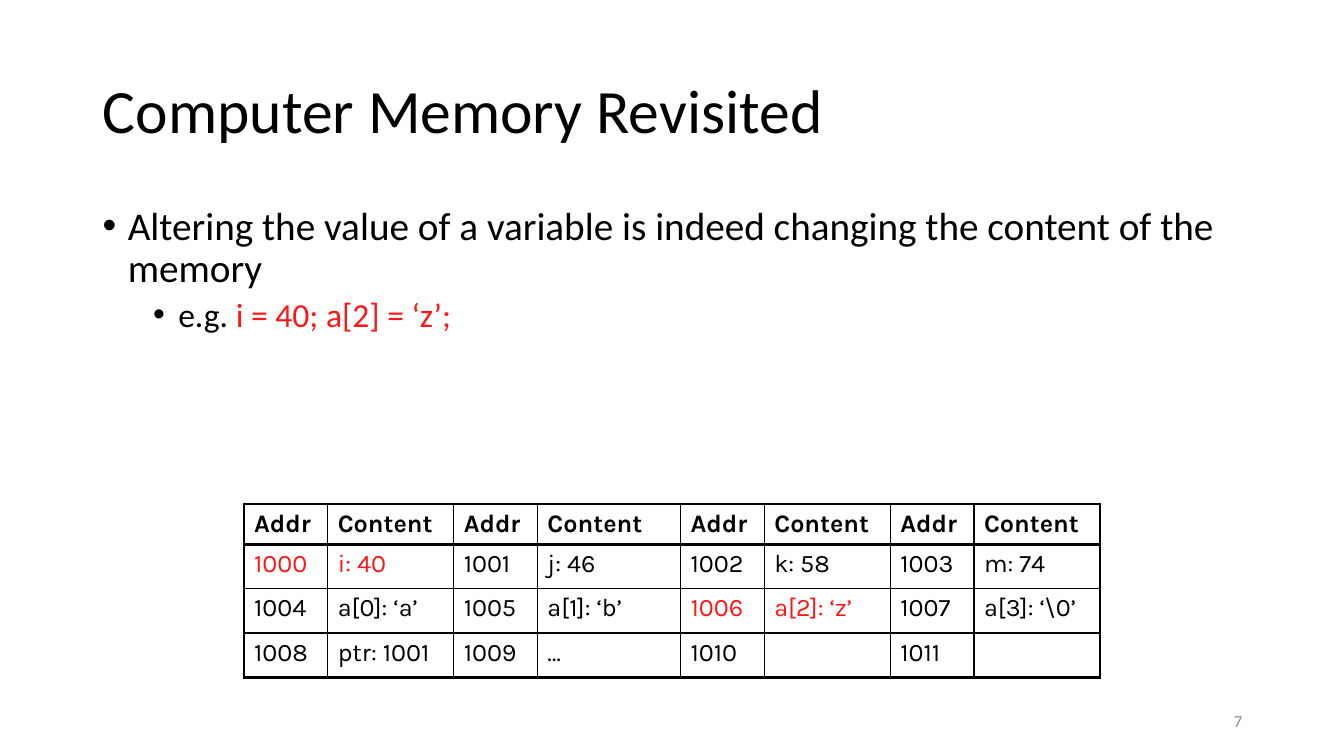
"""Build the slide on computer memory, with its table of addresses and contents."""
from lxml import etree
from pptx import Presentation
from pptx.dml.color import RGBColor
from pptx.enum.text import MSO_ANCHOR, MSO_AUTO_SIZE, PP_ALIGN
from pptx.oxml.ns import qn
from pptx.util import Inches, Pt

LEFT, RIGHT = PP_ALIGN.LEFT, PP_ALIGN.RIGHT
MIDDLE, TOP = MSO_ANCHOR.MIDDLE, MSO_ANCHOR.TOP
NO_FIT = MSO_AUTO_SIZE.NONE

BLACK, RED, GREY = "000000", "FF1717", "8C8C8C"
TITLE = "Computer Memory Revisited"
PAGE = "7"
POINTS = [
    {"runs": [("Altering the value of a variable is indeed changing the content of the memory", BLACK)],
     "size": 28, "indent": 0.25, "before": 0},
    {"runs": [("e.g. ", BLACK), ("i = 40; a[2] = ‘z’;", RED)],
     "size": 24, "indent": 0.75, "before": 5},
]
HEADINGS = ("Addr", "Content")
FIRST_ADDRESS = 1000
CONTENTS = [
    ["i: 40", "j: 46", "k: 58", "m: 74"],
    ["a[0]: ‘a’", "a[1]: ‘b’", "a[2]: ‘z’", "a[3]: ‘\\0’"],
    ["ptr: 1001", "…", "", ""],
]
CHANGED = {1000, 1006}
ADDRESS_WIDTH = 0.83
CONTENT_WIDTHS = [1.25, 1.42, 1.25, 1.25]
ROW_HEIGHTS = [0.4, 0.44, 0.44, 0.44]
THICK, THIN = 2.25, 1


def rgb(value):
    return RGBColor.from_string(value)


def style(run, size, color, font="Calibri", bold=False):
    run.font.name = font
    run.font.size = Pt(size)
    run.font.bold = bold
    run.font.color.rgb = rgb(color)


def place(shape, left, top, width, height):
    shape.left, shape.top = Inches(left), Inches(top)
    shape.width, shape.height = Inches(width), Inches(height)


def add_text(slide, left, top, width, height, anchor):
    box = slide.shapes.add_textbox(Inches(left), Inches(top), Inches(width), Inches(height))
    box.text_frame.word_wrap = True
    box.text_frame.vertical_anchor = anchor
    return box.text_frame


def add_bullet(paragraph, indent):
    properties = paragraph._p.get_or_add_pPr()
    properties.set("marL", str(Inches(indent)))
    properties.set("indent", str(Inches(-0.25)))
    etree.SubElement(properties, qn("a:buFont")).set("typeface", "Arial")
    etree.SubElement(properties, qn("a:buChar")).set("char", "•")


def add_borders(cell, widths):
    properties = cell._tc.get_or_add_tcPr()
    for side, width in widths.items():
        line = etree.SubElement(properties, qn(f"a:ln{side}"), w=str(Pt(width)))
        fill = etree.SubElement(line, qn("a:solidFill"))
        etree.SubElement(fill, qn("a:srgbClr"), val=BLACK)


def add_title(slide):
    title = slide.shapes.title
    place(title, 0.92, 0.4, 11.5, 1.45)
    frame = title.text_frame
    frame.text = TITLE
    frame.auto_size = NO_FIT
    frame.vertical_anchor = MIDDLE
    heading = frame.paragraphs[0]
    heading.alignment = LEFT
    heading.line_spacing = 0.9
    style(heading.runs[0], 44, BLACK)


def add_points(slide):
    frame = add_text(slide, 0.92, 2, 11.5, 2.5, TOP)
    for index, point in enumerate(POINTS):
        paragraph = frame.add_paragraph() if index else frame.paragraphs[0]
        paragraph.level = index
        paragraph.line_spacing = 0.9
        paragraph.space_before = Pt(point["before"])
        add_bullet(paragraph, point["indent"])
        for text, color in point["runs"]:
            run = paragraph.add_run()
            run.text = text
            style(run, point["size"], color)


def memory_rows():
    per_row = len(CONTENT_WIDTHS)
    rows = [[(heading, BLACK) for heading in HEADINGS * per_row]]
    for row, contents in enumerate(CONTENTS):
        cells = []
        for address, content in enumerate(contents, FIRST_ADDRESS + row * per_row):
            color = RED if address in CHANGED else BLACK
            cells += [(str(address), color), (content, color)]
        rows.append(cells)
    return rows


def add_memory(slide):
    rows = memory_rows()
    widths = [width for content in CONTENT_WIDTHS for width in (ADDRESS_WIDTH, content)]
    last_row, last_column = len(rows) - 1, len(widths) - 1
    memory = slide.shapes.add_table(
        len(rows), len(widths), Inches(2.42), Inches(5),
        Inches(sum(widths)), Inches(sum(ROW_HEIGHTS))).table
    memory.first_row = memory.horz_banding = False
    for column, width in zip(memory.columns, widths):
        column.width = Inches(width)
    for r, (cells, height) in enumerate(zip(rows, ROW_HEIGHTS)):
        memory.rows[r].height = Inches(height)
        for c, (text, color) in enumerate(cells):
            cell = memory.cell(r, c)
            add_borders(cell, {
                "L": THICK if c == 0 else THIN,
                "R": THICK if c == last_column else THIN,
                "T": THICK if r <= 1 else THIN,
                "B": THICK if r in (0, last_row) else THIN,
            })
            cell.fill.background()
            cell.text_frame.text = text
            for run in cell.text_frame.paragraphs[0].runs:
                style(run, 18, color, "Karla", bold=r == 0)


def add_page_number(slide):
    frame = add_text(slide, 9.42, 6.95, 3, 0.4, MIDDLE)
    frame.text = PAGE
    frame.paragraphs[0].alignment = RIGHT
    style(frame.paragraphs[0].runs[0], 12, GREY)


def main():
    deck = Presentation()
    deck.slide_width, deck.slide_height = Inches(13.33), Inches(7.5)
    slide = deck.slides.add_slide(deck.slide_layouts[5])
    add_title(slide)
    add_points(slide)
    add_page_number(slide)
    add_memory(slide)
    deck.save("out.pptx")


if __name__ == "__main__":
    main()
